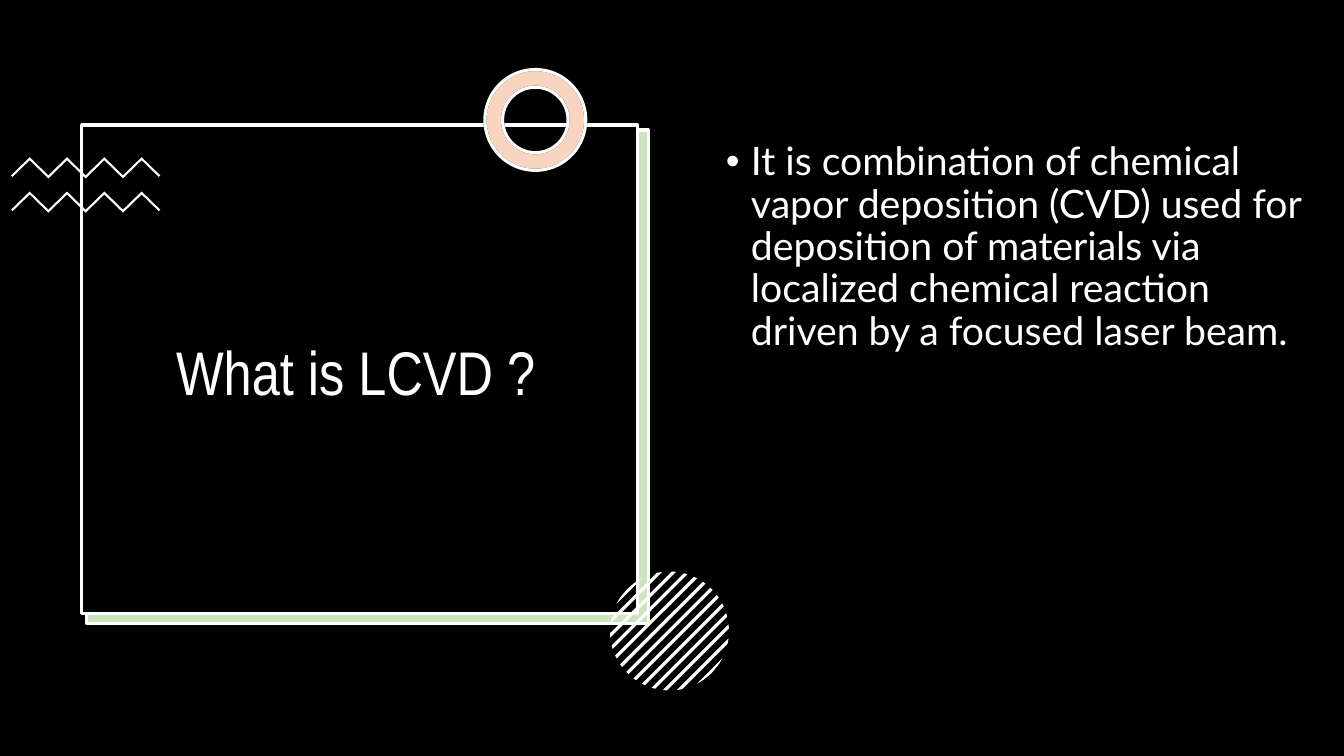
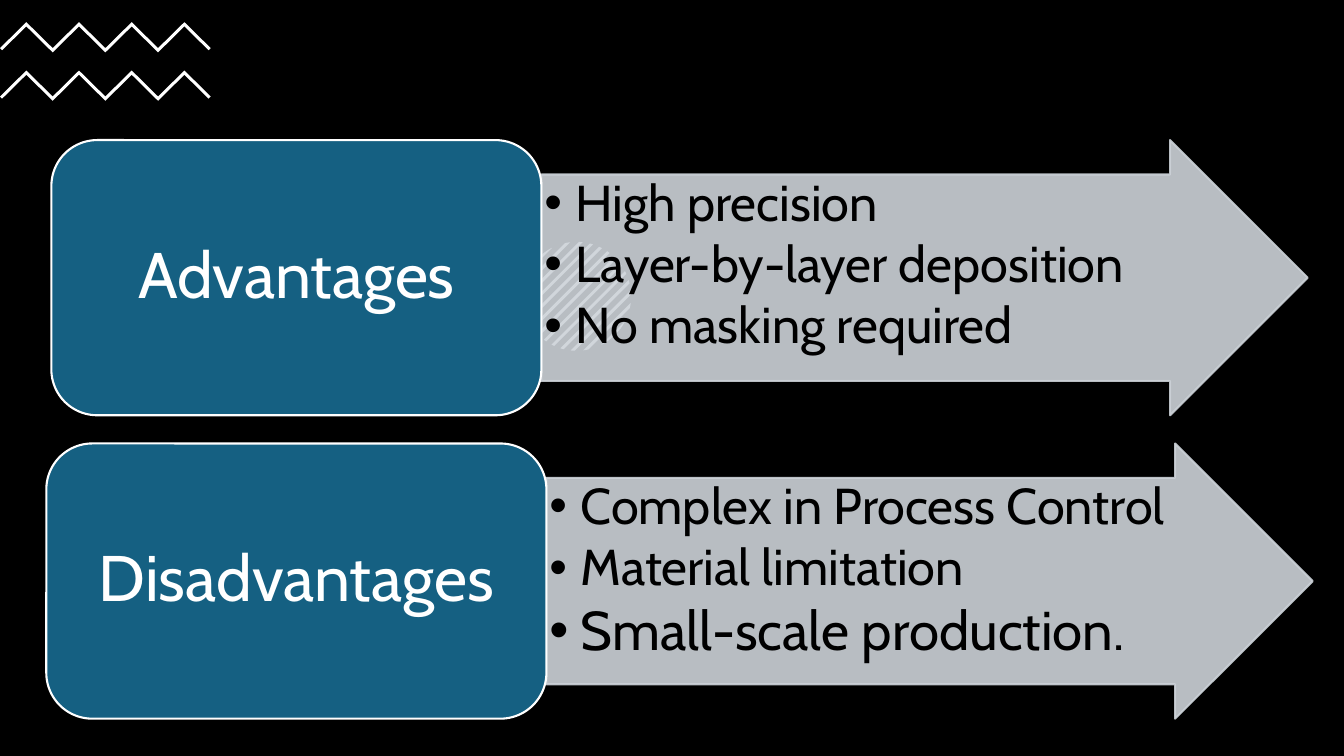
"""Build two slides about laser chemical vapor deposition."""
from dataclasses import dataclass
from math import sqrt

from lxml import etree
from pptx import Presentation
from pptx.dml.color import RGBColor
from pptx.enum.shapes import MSO_SHAPE
from pptx.enum.text import MSO_ANCHOR, PP_ALIGN
from pptx.oxml.ns import qn
from pptx.util import Pt

RECTANGLE = MSO_SHAPE.RECTANGLE
ROUNDED = MSO_SHAPE.ROUNDED_RECTANGLE
ARROW = MSO_SHAPE.RIGHT_ARROW
DONUT = MSO_SHAPE.DONUT
TOP, MIDDLE = MSO_ANCHOR.TOP, MSO_ANCHOR.MIDDLE
LEFT, CENTER = PP_ALIGN.LEFT, PP_ALIGN.CENTER
PX = 9144


@dataclass(frozen=True)
class Theme:
    black: str = "000000"
    white: str = "FFFFFF"
    green: str = "4EA72E"
    orange: str = "E97132"
    blue: str = "156082"
    gray: str = "CCD2D8"
    title_font: str = "Arial Narrow"
    body_font: str = "Lato"
    diagram_font: str = "Cabin"
    title_size: int = 44
    body_size: int = 28
    label_size: int = 46
    point_size: int = 36
    large_point_size: int = 39
    frame_line: float = 2.25
    diagram_line: float = 1.5


THEME = Theme()
SLIDE_SIZE = (1333, 750)

TITLE = "What is LCVD ? "
TITLE_BOX = (92, 152, 536, 442)
DEFINITION = (
    "It is combination of chemical vapor deposition (CVD) used for deposition of "
    "materials via localized chemical reaction driven by a focused laser beam."
)
DEFINITION_BOX = (710, 136, 612, 476)
FRAMES = [
    {"box": (85, 130, 557, 490), "fill": THEME.white},
    {"box": (86, 129, 557, 490), "fill": THEME.green, "fill_alpha": 30, "line": THEME.white},
    {"box": (81, 124, 551, 485), "fill": THEME.black, "line": THEME.white},
]
RING_BOX = (481, 69, 100, 100)
RINGS = [
    {"fill": THEME.white, "line": THEME.black},
    {"fill": THEME.orange, "fill_alpha": 30, "line": THEME.white},
]
RING_THICKNESS = 0.175

COMPARISON = [
    {
        "label": "Advantages",
        "label_left": 51,
        "label_width": 486,
        "points": [
            ("High precision", THEME.point_size),
            ("Layer-by-layer deposition", THEME.point_size),
            ("No masking required", THEME.point_size),
        ],
    },
    {
        "label": "Disadvantages",
        "label_left": 46,
        "label_width": 496,
        "points": [
            ("Complex in Process Control", THEME.point_size),
            ("Material limitation", THEME.point_size),
            ("Small-scale production.", THEME.large_point_size),
        ],
    },
]
ROW_TOP, ROW_HEIGHT, ROW_GAP, ARROW_WIDTH = 139, 273, 28, 760

ZIGZAG_STEPS, ZIGZAG_THICKNESS, ZIGZAG_END = 8, 0.14, 0.01
STRIPES_EACH_SIDE, STRIPE_PITCH, STRIPE_HALF, ARC_STEPS = 6, 0.163, 0.027, 4


def color(value):
    return RGBColor.from_string(value)


def set_alpha(shape, color_path, percent):
    if percent < 100:
        element = shape.element.spPr.find("/".join(qn(tag) for tag in color_path))
        etree.SubElement(element, qn("a:alpha"), val=str(percent * 1000))


def paint(shape, fill, fill_alpha=100, line=None, line_alpha=100, width=THEME.frame_line):
    shape.shadow.inherit = False
    shape.fill.solid()
    shape.fill.fore_color.rgb = color(fill)
    set_alpha(shape, ("a:solidFill", "a:srgbClr"), fill_alpha)
    if line is None:
        shape.line.fill.background()
        return
    shape.line.color.rgb = color(line)
    shape.line.width = Pt(width)
    set_alpha(shape, ("a:ln", "a:solidFill", "a:srgbClr"), line_alpha)


def add_preset(slide, kind, box, adjustments=(), **style):
    shape = slide.shapes.add_shape(kind, *(value * PX for value in box))
    for index, value in enumerate(adjustments):
        shape.adjustments[index] = value
    paint(shape, **style)
    return shape


def write(shape, lines, font, text_color, align=LEFT, anchor=TOP,
          margins=(10, 5), indent=0, space_after=0):
    frame = shape.text_frame
    frame.word_wrap = True
    frame.vertical_anchor = anchor
    frame.margin_left = frame.margin_right = margins[0] * PX
    frame.margin_top = frame.margin_bottom = margins[1] * PX
    frame.text = "\n".join(text for text, _ in lines)
    for paragraph, (_, size) in zip(frame.paragraphs, lines):
        paragraph.alignment = align
        paragraph.line_spacing = 0.9
        paragraph.space_after = Pt(space_after)
        if indent:
            properties = paragraph._p.get_or_add_pPr()
            properties.set("marL", str(indent * PX))
            properties.set("indent", str(-indent * PX))
            etree.SubElement(properties, qn("a:buFont"), typeface="Arial")
            etree.SubElement(properties, qn("a:buChar"), char="•")
        for run in paragraph.runs:
            run.font.name = font
            run.font.size = Pt(size)
            run.font.color.rgb = color(text_color)


def add_text(slide, box, text, size, font, **style):
    shape = slide.shapes.add_textbox(*(value * PX for value in box))
    write(shape, [(text, size)], font, THEME.white, **style)


def add_outline(group, points):
    start, *rest = [(x * PX, y * PX) for x, y in points]
    builder = group.shapes.build_freeform(*start, scale=1.0)
    builder.add_line_segments(rest, close=True)
    paint(builder.convert_to_shape(), THEME.white)


def add_zigzags(slide, left, top, width, height, pitch):
    group = slide.shapes.add_group_shape()
    thickness = ZIGZAG_THICKNESS * height
    end = ZIGZAG_END * width
    for row_top in (top, top + pitch):
        upper = [
            (left + step * width / ZIGZAG_STEPS,
             row_top + (0 if step % 2 else height - thickness))
            for step in range(ZIGZAG_STEPS + 1)
        ]
        lower = [(x, y + thickness) for x, y in upper]
        lower[0] = (left + end, lower[0][1] - end)
        lower[-1] = (left + width - end, lower[-1][1] - end)
        add_outline(group, upper + lower[::-1])


def add_striped_circle(slide, center_x, center_y, radius):
    group = slide.shapes.add_group_shape()
    unit = radius / sqrt(2)
    for stripe in range(-STRIPES_EACH_SIDE, STRIPES_EACH_SIDE + 1):
        low = max(-1, stripe * STRIPE_PITCH - STRIPE_HALF)
        high = min(1, stripe * STRIPE_PITCH + STRIPE_HALF)
        offsets = [low + (high - low) * step / ARC_STEPS for step in range(ARC_STEPS + 1)]
        chords = [(offset, sqrt(max(0, 1 - offset ** 2))) for offset in offsets]
        edges = chords + [(offset, -half) for offset, half in reversed(chords)]
        add_outline(group, [
            (center_x + (offset + half) * unit, center_y + (offset - half) * unit)
            for offset, half in edges
        ])


def add_slide(presentation):
    slide = presentation.slides.add_slide(presentation.slide_layouts[6])
    slide.background.fill.solid()
    slide.background.fill.fore_color.rgb = color(THEME.black)
    return slide


def build_definition(presentation):
    slide = add_slide(presentation)
    for frame in FRAMES:
        add_preset(slide, RECTANGLE, **frame)
    add_zigzags(slide, 11, 156, 148, 21, 34)
    for ring in RINGS:
        add_preset(slide, DONUT, RING_BOX, [RING_THICKNESS], **ring)
    add_striped_circle(slide, 664, 626, 59)
    add_text(slide, TITLE_BOX, TITLE, THEME.title_size, THEME.title_font,
             align=CENTER, anchor=MIDDLE)
    add_text(slide, DEFINITION_BOX, DEFINITION, THEME.body_size, THEME.body_font, indent=25)


def build_comparison(presentation):
    slide = add_slide(presentation)
    add_zigzags(slide, 0, 22, 209, 30, 48)
    add_striped_circle(slide, 572, 294, 54)
    for index, row in enumerate(COMPARISON):
        top = ROW_TOP + index * (ROW_HEIGHT + ROW_GAP)
        left, width = row["label_left"], row["label_width"]
        arrow = add_preset(slide, ARROW, (left + width, top, ARROW_WIDTH, ROW_HEIGHT),
                           [0.75, 0.5], fill=THEME.gray, fill_alpha=90,
                           line=THEME.gray, line_alpha=90, width=THEME.diagram_line)
        write(arrow, row["points"], THEME.diagram_font, THEME.black,
              margins=(3, 3), indent=31, space_after=5)
        label = add_preset(slide, ROUNDED, (left, top, width, ROW_HEIGHT),
                           fill=THEME.blue, line=THEME.white, width=THEME.diagram_line)
        write(label, [(row["label"], THEME.label_size)], THEME.diagram_font, THEME.white,
              align=CENTER, anchor=MIDDLE)


def main():
    presentation = Presentation()
    presentation.slide_width, presentation.slide_height = (side * PX for side in SLIDE_SIZE)
    build_definition(presentation)
    build_comparison(presentation)
    presentation.save("out.pptx")


if __name__ == "__main__":
    main()
